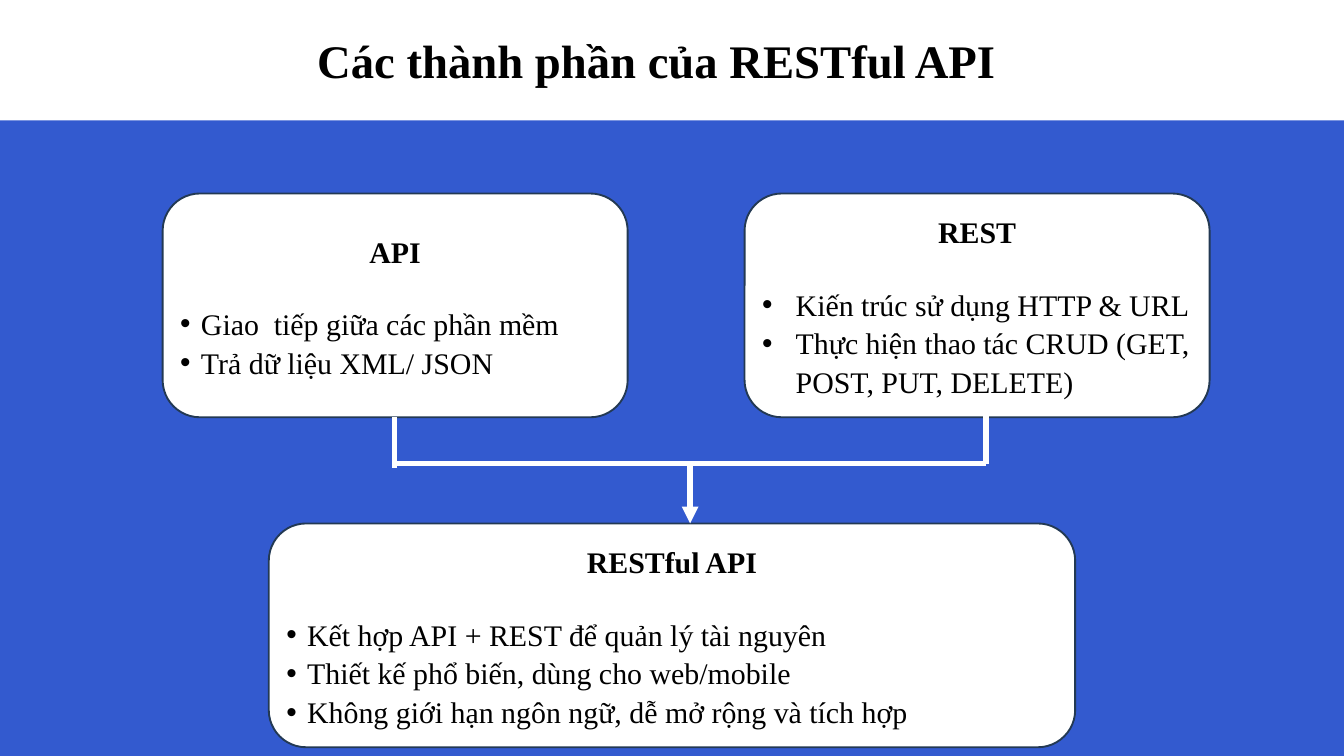
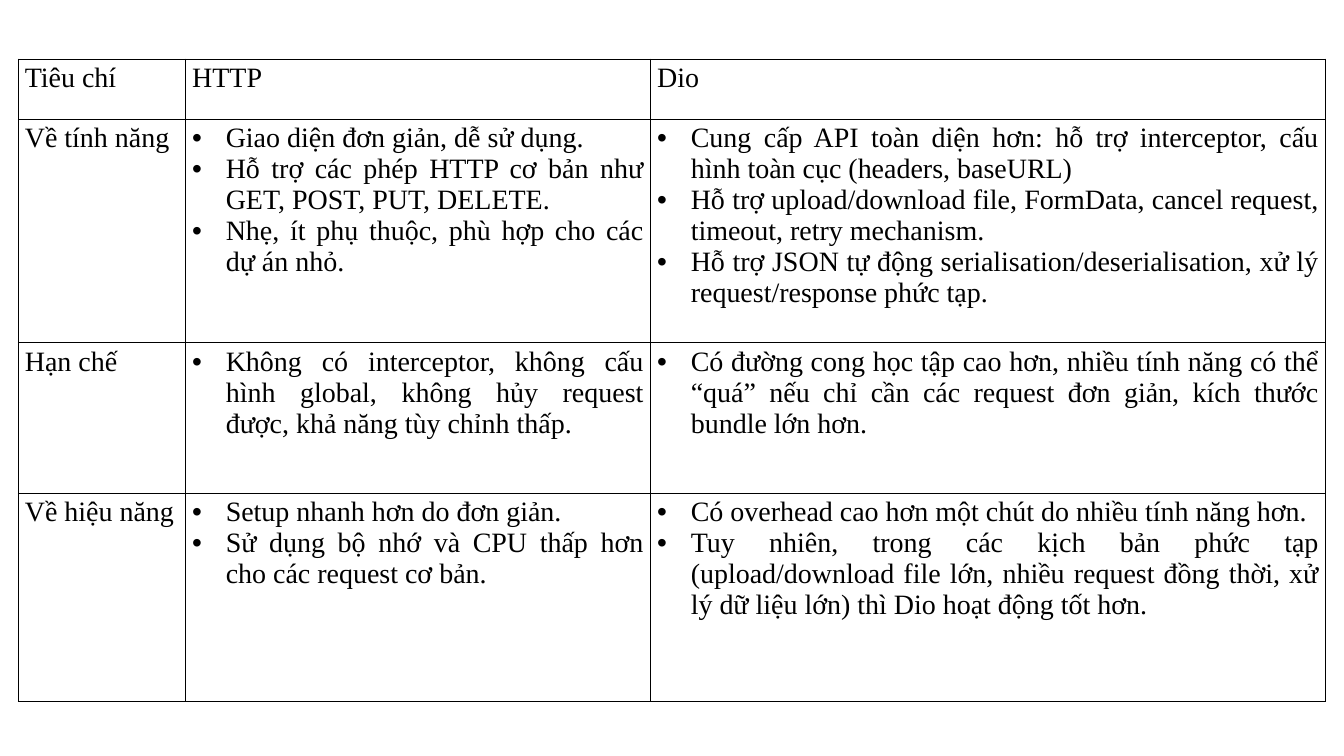
"""Build two slides: the parts of a RESTful API, and HTTP compared with Dio."""
from lxml import etree
from pptx import Presentation
from pptx import util as u
from pptx.dml.color import RGBColor
from pptx.enum import shapes, text
from pptx.oxml import ns

FONT = "Times New Roman"
BLACK = RGBColor(0x00, 0x00, 0x00)
WHITE = RGBColor(0xFF, 0xFF, 0xFF)
BLUE = RGBColor(0x33, 0x5A, 0xCF)
NAVY = RGBColor(0x23, 0x39, 0x53)


def write(paragraph, words, size, bold=False, align=text.PP_ALIGN.LEFT):
    paragraph.alignment = align
    run = paragraph.add_run()
    run.text = words
    run.font.name = FONT
    run.font.size = u.Pt(size)
    run.font.bold = bold
    run.font.color.rgb = BLACK


def add_bullet(paragraph, indent):
    properties = paragraph._p.get_or_add_pPr()
    properties.set("marL", str(u.Inches(indent)))
    properties.set("indent", str(-u.Inches(indent)))
    etree.SubElement(properties, ns.qn("a:buFont")).set("typeface", "Arial")
    etree.SubElement(properties, ns.qn("a:buChar")).set("char", "•")


deck = Presentation()
deck.slide_width = u.Inches(20)
deck.slide_height = u.Inches(11.25)

components = deck.slides.add_slide(deck.slide_layouts[5])
title = components.shapes.title
title.left, title.top = u.Inches(4.62), u.Inches(0.43)
title.width, title.height = u.Inches(10.75), u.Inches(0.94)
title.text_frame.vertical_anchor = text.MSO_ANCHOR.TOP
title.text_frame.auto_size = text.MSO_AUTO_SIZE.NONE
write(title.text_frame.paragraphs[0], "Các thành phần của RESTful API", 50, bold=True)

backdrop = components.shapes.add_shape(
    shapes.MSO_SHAPE.RECTANGLE, u.Inches(-0.04), u.Inches(1.79), u.Inches(20.04), u.Inches(9.46))
backdrop.shadow.inherit = False
backdrop.fill.solid()
backdrop.fill.fore_color.rgb = BLUE
backdrop.line.fill.background()

CARDS = [
    ("API", 2.42, 2.88, 6.92, 0.31,
     ["Giao  tiếp giữa các phần mềm", "Trả dữ liệu XML/ JSON"]),
    ("REST", 11.08, 2.88, 6.92, 0.5,
     ["Kiến trúc sử dụng HTTP & URL", "Thực hiện thao tác CRUD (GET, POST, PUT, DELETE)"]),
    ("RESTful API", 4, 7.79, 12, 0.31,
     ["Kết hợp API + REST để quản lý tài nguyên", "Thiết kế phổ biến, dùng cho web/mobile",
      "Không giới hạn ngôn ngữ, dễ mở rộng và tích hợp"]),
]
for heading, left, top, width, indent, points in CARDS:
    card = components.shapes.add_shape(
        shapes.MSO_SHAPE.ROUNDED_RECTANGLE,
        u.Inches(left), u.Inches(top), u.Inches(width), u.Inches(3.33))
    card.shadow.inherit = False
    card.fill.solid()
    card.fill.fore_color.rgb = WHITE
    card.line.color.rgb = NAVY
    card.line.width = u.Pt(2)
    frame = card.text_frame
    frame.word_wrap = True
    frame.vertical_anchor = text.MSO_ANCHOR.MIDDLE
    head = frame.paragraphs[0]
    head.line_spacing = 1.08
    head.space_after = u.Pt(36)
    write(head, heading, 32, bold=True, align=text.PP_ALIGN.CENTER)
    for point in points:
        item = frame.add_paragraph()
        item.line_spacing = 1.08
        write(item, point, 32)
        add_bullet(item, indent)

API_X, REST_X, JOIN_Y = 5.87, 14.67, 6.9
MERGE_X = (API_X + REST_X) / 2
BRANCHES = [
    (API_X, 6.21, API_X, 6.96),
    (REST_X, 6.15, REST_X, JOIN_Y),
    (API_X, JOIN_Y, REST_X, JOIN_Y),
    (MERGE_X, JOIN_Y, MERGE_X, 7.79),
]
for ends in BRANCHES:
    branch = components.shapes.add_connector(
        shapes.MSO_CONNECTOR.STRAIGHT, *[u.Inches(end) for end in ends])
    branch.line.color.rgb = WHITE
    branch.line.width = u.Pt(6)
    etree.SubElement(branch._element.spPr, ns.qn("a:effectLst"))
etree.SubElement(branch.line._get_or_add_ln(), ns.qn("a:tailEnd")).set("type", "triangle")

CRITERIA = [
    ("Tiêu chí", ["HTTP"], ["Dio"]),
    ("Về tính năng",
     ["Giao diện đơn giản, dễ sử dụng.",
      "Hỗ trợ các phép HTTP cơ bản như GET, POST, PUT, DELETE.",
      "Nhẹ, ít phụ thuộc, phù hợp cho các dự án nhỏ."],
     ["Cung cấp API toàn diện hơn: hỗ trợ interceptor, cấu hình toàn cục (headers, baseURL)",
      "Hỗ trợ upload/download file, FormData, cancel request, timeout, retry mechanism.",
      "Hỗ trợ JSON tự động serialisation/deserialisation, xử lý request/response phức tạp."]),
    ("Hạn chế",
     ["Không có interceptor, không cấu hình global, không hủy request được, "
      "khả năng tùy chỉnh thấp."],
     ["Có đường cong học tập cao hơn, nhiều tính năng có thể “quá” nếu chỉ cần "
      "các request đơn giản, kích thước bundle lớn hơn."]),
    ("Về hiệu năng",
     ["Setup nhanh hơn do đơn giản.",
      "Sử dụng bộ nhớ và CPU thấp hơn cho các request cơ bản."],
     ["Có overhead cao hơn một chút do nhiều tính năng hơn.",
      "Tuy nhiên, trong các kịch bản phức tạp (upload/download file lớn, nhiều request "
      "đồng thời, xử lý dữ liệu lớn) thì Dio hoạt động tốt hơn."]),
]
COLUMN_WIDTHS = [2.49, 6.92, 10.05]
ROW_HEIGHTS = [0.89, 3.33, 2.24, 3.1]

comparison = deck.slides.add_slide(deck.slide_layouts[6])
criteria = comparison.shapes.add_table(
    len(ROW_HEIGHTS), len(COLUMN_WIDTHS), u.Inches(0.27), u.Inches(0.88),
    u.Inches(sum(COLUMN_WIDTHS)), u.Inches(sum(ROW_HEIGHTS))).table
criteria.first_row = False
criteria.horz_banding = False
for column, width in zip(criteria.columns, COLUMN_WIDTHS):
    column.width = u.Inches(width)

for r, (criterion, http, dio) in enumerate(CRITERIA):
    criteria.rows[r].height = u.Inches(ROW_HEIGHTS[r])
    for c, points in enumerate([[criterion], http, dio]):
        cell = criteria.cell(r, c)
        bulleted = r > 0 and c > 0
        for n, point in enumerate(points):
            item = cell.text_frame.add_paragraph() if n else cell.text_frame.paragraphs[0]
            write(item, point, 30,
                  align=text.PP_ALIGN.JUSTIFY if bulleted else text.PP_ALIGN.LEFT)
            if bulleted:
                add_bullet(item, 0.5)
        borders = cell._tc.get_or_add_tcPr()
        for side in ("a:lnL", "a:lnR", "a:lnT", "a:lnB"):
            border = etree.SubElement(borders, ns.qn(side), w=str(u.Pt(1)))
            ink = etree.SubElement(border, ns.qn("a:solidFill"))
            etree.SubElement(ink, ns.qn("a:srgbClr"), val=str(BLACK))
        cell.fill.background()

deck.save("out.pptx")
